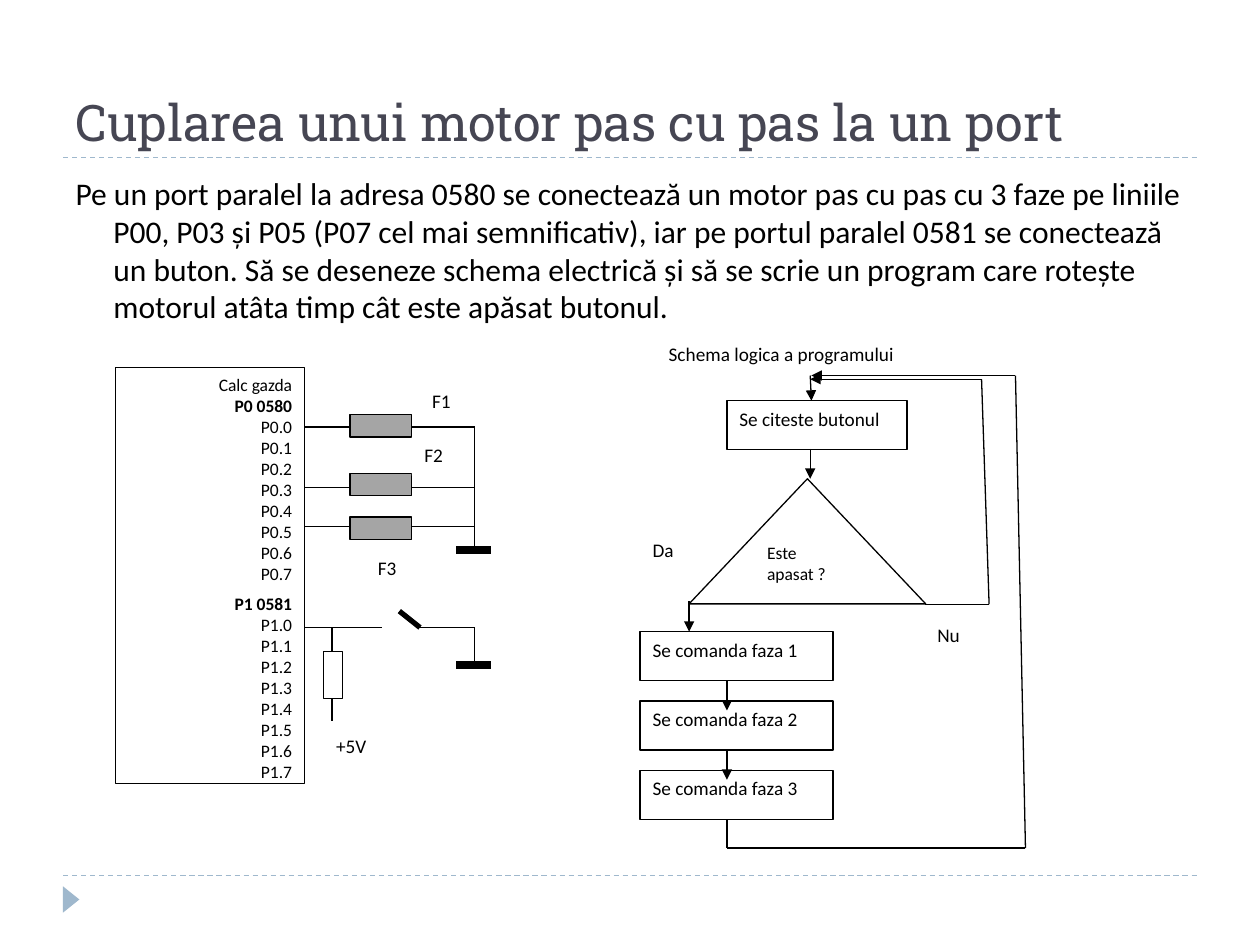
from lxml import etree
from pptx import Presentation
from pptx import util as u
from pptx.dml import color
from pptx.enum import dml, shapes, text
from pptx.oxml import ns

Pt = u.Pt
COLORS = {"ink": "000000", "paper": "FFFFFF", "title": "464653",
          "accent": "9FB8CD", "coil": "A5A5A5"}


def write(shape, content, size=11, font="Calibri", ink="ink", align="LEFT",
          anchor="TOP", after=0, bold=(), gap_before=()):
    frame = shape.text_frame
    frame.word_wrap = True
    frame.auto_size = text.MSO_AUTO_SIZE.NONE
    frame.vertical_anchor = getattr(text.MSO_ANCHOR, anchor)
    frame.text = content
    for paragraph in frame.paragraphs:
        paragraph.alignment = getattr(text.PP_ALIGN, align)
        paragraph.line_spacing = 1.0
        paragraph.space_before = Pt(5 if paragraph.text in gap_before else 0)
        paragraph.space_after = Pt(after)
        for run in paragraph.runs:
            run.font.size = Pt(size)
            run.font.name = font
            run.font.bold = paragraph.text in bold
            run.font.color.rgb = color.RGBColor.from_string(COLORS[ink])


presentation = Presentation()
presentation.slide_width, presentation.slide_height = Pt(720), Pt(540)
slide = presentation.slides.add_slide(presentation.slide_layouts[1])


def draw(kind, *place, fill="paper", ink="ink", width=0.75, arrow=False, dash=False):
    if kind == "line":
        shape = slide.shapes.add_connector(shapes.MSO_CONNECTOR.STRAIGHT, *map(Pt, place))
        etree.SubElement(shape._element.spPr, ns.qn("a:effectLst"))
    else:
        shape = slide.shapes.add_shape(getattr(shapes.MSO_SHAPE, kind), *map(Pt, place))
        shape.shadow.inherit = False
        shape.fill.solid()
        shape.fill.fore_color.rgb = color.RGBColor.from_string(COLORS[fill])
    if ink is None:
        shape.line.fill.background()
        return shape
    shape.line.color.rgb = color.RGBColor.from_string(COLORS[ink])
    shape.line.width = Pt(width)
    if dash:
        shape.line.dash_style = dml.MSO_LINE.DASH
    if arrow:
        etree.SubElement(shape.line._get_or_add_ln(), ns.qn("a:tailEnd"), type="triangle")
    return shape


for y in (90, 500.4):
    draw("line", 36, y, 684, y, ink="accent", dash=True)
marker = draw("ISOSCELES_TRIANGLE", 33.1, 509.3, 15.1, 9.4, fill="accent", ink=None)
marker.rotation = 90

title = slide.shapes.title
title.left, title.top, title.width, title.height = Pt(36), Pt(12.2), Pt(648), Pt(77.8)
write(title, "Cuplarea unui motor pas cu pas la un port", size=28.8,
      font="Roboto Slab", ink="title", anchor="BOTTOM")

body = slide.placeholders[1]
body.left, body.top, body.width, body.height = Pt(36), Pt(95.8), Pt(648), Pt(95.8)
body.text_frame.text = ""
write(body, "Pe un port paralel la adresa 0580 se conectează un motor pas cu pas cu 3 faze "
      "pe liniile P00, P03 și P05 (P07 cel mai semnificativ), iar pe portul paralel 0581 "
      "se conectează un buton. Să se deseneze schema electrică și să se scrie un program "
      "care rotește motorul atâta timp cât este apăsat butonul.", size=18)
properties = body.text_frame.paragraphs[0]._p.get_or_add_pPr()
properties.set("marL", str(Pt(21.6)))
properties.set("indent", str(Pt(-21.6)))
etree.SubElement(properties, ns.qn("a:buNone"))

headings = ["P0 0580", "P1 0581"]
port_lines = ["Calc gazda"]
for port, heading in enumerate(headings):
    port_lines += [heading] + [f"P{port}.{bit}" for bit in range(8)]
host = draw("RECTANGLE", 66, 210, 108, 237.6)
write(host, "\n".join(port_lines), size=10, align="RIGHT", bold=headings,
      gap_before=headings[1:])

for wire_y, coil_y in ((244, 237), (278.5, 270.5), (301, 295.5)):
    draw("line", 174, wire_y, 271.3, wire_y)
    draw("RECTANGLE", 200, coil_y, 35.3, 12.8, fill="coil")

for wire_top, ground_y in ((244, 314.3), (358.6, 380)):
    draw("line", 271.3, wire_top, 271.3, ground_y)
    draw("line", 260.8, ground_y, 280.8, ground_y, width=4.5)

draw("line", 174, 358.6, 218.2, 358.6)
draw("line", 228.2, 349.2, 240, 358.6, width=3)
draw("line", 240, 358.6, 271.3, 358.6)
draw("line", 189.8, 358.6, 189.8, 411.8)
draw("RECTANGLE", 185, 372.2, 10.8, 27)

draw("ISOSCELES_TRIANGLE", 393.8, 273.6, 135.2, 71.5)

labels = [
    ("F1", 239.8, 218.9, 31, 22), ("F2", 235.4, 249.8, 31, 22),
    ("F3", 208.8, 314.6, 31, 22), ("+5V", 185, 416.2, 50.4, 25.9),
    ("Schema logica a programului", 375, 192.2, 180.7, 36),
    ("Nu", 528.5, 352.8, 32.4, 28), ("Da", 365.8, 303.8, 32.4, 28),
    ("Este apasat ?", 431.3, 306, 55.4, 35.3),
]
for label, *place in labels:
    box = draw("RECTANGLE", *place, fill="paper", ink=None)
    if label.startswith("Este"):
        box.fill.background()
    write(box, label, size=10 if label.startswith("Este") else 11, after=10)

steps = [("Se citeste butonul", 415.4, 229, 103)] + [
    (f"Se comanda faza {phase}", 365.8, 361 + 39.6 * (phase - 1), 110.2)
    for phase in (1, 2, 3)]
for label, x, y, width in steps:
    write(draw("RECTANGLE", x, y, width, 28), label, after=10)

flow_lines = [
    (528.5, 345.3, 565.2, 345.3), (565.2, 345.3, 560.9, 216.7),
    (415.4, 468.2, 415.4, 484.6), (415.4, 484.6, 586, 484.6),
    (586, 484.6, 580.3, 214.6),
]
flow_arrows = [
    (463, 214.6, 463.7, 229), (560.9, 216.7, 463, 216.7),
    (463, 256.5, 463, 273.6), (393.8, 343.7, 393.8, 361),
    (415.4, 389, 415.4, 406), (415.4, 428.6, 415.4, 445.6),
    (580.3, 214.6, 463.7, 214.6),
]
for ends in flow_lines:
    draw("line", *ends)
for ends in flow_arrows:
    draw("line", *ends, arrow=True)

presentation.save("out.pptx")
